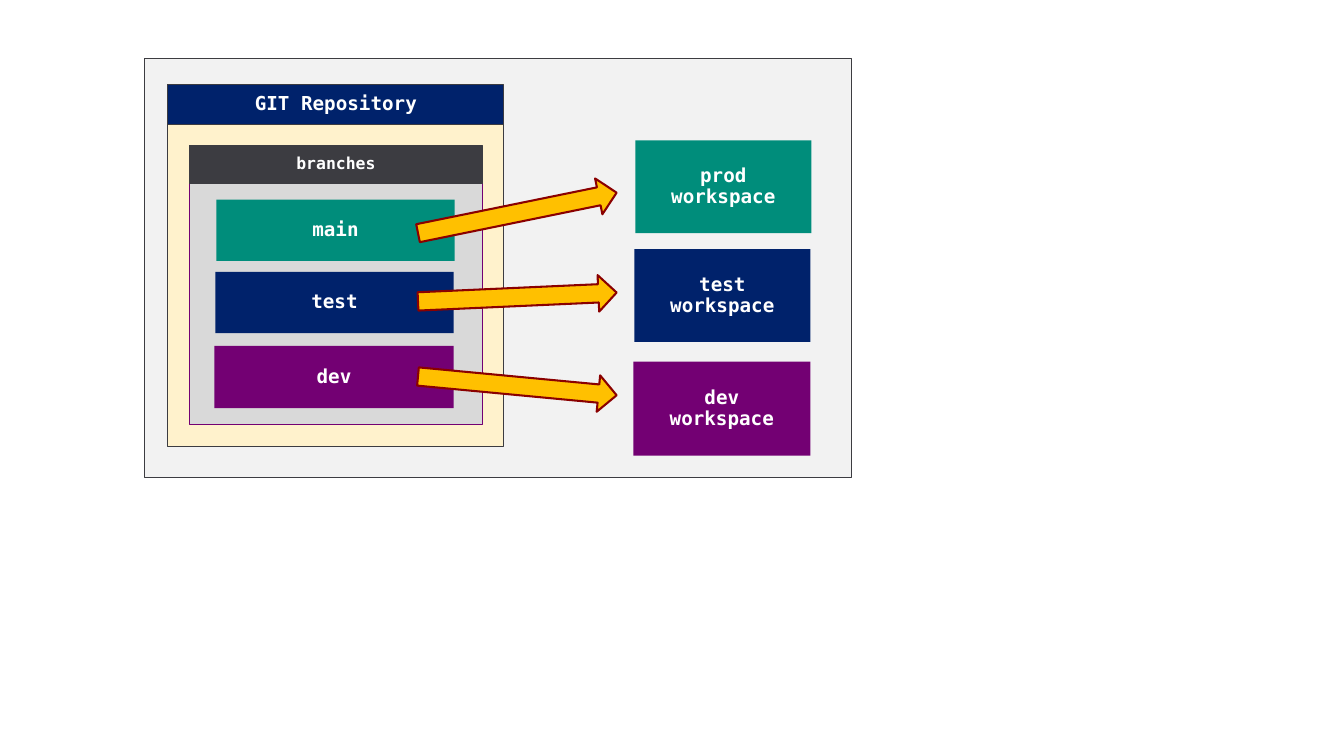
from math import atan2, degrees, hypot

from pptx import Presentation
from pptx.dml.color import RGBColor
from pptx.enum.shapes import MSO_SHAPE
from pptx.enum.text import MSO_ANCHOR, PP_ALIGN
from pptx.util import Inches, Pt

# Grid of 136 columns by 76.5 rows, each cell a tenth of an inch
COLS, ROWS = 136, 76.5
FONT = "DejaVu Sans Mono"
NAVY, TEAL, PLUM, DARK = "00226B", "008D7B", "730073", "3C3C41"

# Branch, its workspace, colour
# branch box, workspace box, arrow rows at tail and tip
FLOWS = [
    ("main", "prod", TEAL, (21.9, 20.2, 24.1, 6.2), (64.3, 14.2, 17.8, 9.4), (23.6, 19.5)),
    ("test", "test", NAVY, (21.8, 27.5, 24.1, 6.2), (64.2, 25.2, 17.8, 9.4), (30.5, 29.6)),
    ("dev", "dev", PLUM, (21.7, 35, 24.2, 6.3), (64.1, 36.6, 17.9, 9.5), (38.1, 40)),
]
TAIL, TIP, THICK = 42.3, 62.4, 3.7


def cell(n):
    return Inches(n / 10)


def tint(target, color):
    target.rgb = RGBColor.from_string(color)


def write(shape, text, size=14, color="FFFFFF", bold=True):
    frame = shape.text_frame
    frame.word_wrap = True
    frame.vertical_anchor = MSO_ANCHOR.MIDDLE
    frame.margin_left = frame.margin_right = 0
    frame.margin_top = frame.margin_bottom = 0
    for i, line in enumerate(text.split("\n")):
        para = frame.add_paragraph() if i else frame.paragraphs[0]
        para.alignment = PP_ALIGN.CENTER
        para.line_spacing = 0.9
        run = para.add_run()
        run.text = line
        run.font.name = FONT
        run.font.size = Pt(size)
        run.font.bold = bold
        tint(run.font.color, color)


def block(shapes, area, fill, line=None, width=0.75, kind=MSO_SHAPE.RECTANGLE):
    shape = shapes.add_shape(kind, *map(cell, area))
    shape.shadow.inherit = False
    shape.fill.solid()
    tint(shape.fill.fore_color, fill)
    if line:
        tint(shape.line.color, line)
        shape.line.width = Pt(width)
    else:
        shape.line.fill.background()
    return shape


def panel(shapes, area, head, text, size, fill, line, bar):
    """Draw a body with a title bar of the given height on top."""
    left, top, wide, high = area
    block(shapes, (left, top + head, wide, high - head), fill, line)
    title = block(shapes, (left, top, wide, head), bar, DARK)
    write(title, text, size=size)


def arrow(shapes, start, end):
    """Draw a block arrow turned to run from start to end."""
    (x1, y1), (x2, y2) = start, end
    span = hypot(x2 - x1, y2 - y1)
    area = ((x1 + x2 - span) / 2, (y1 + y2 - THICK) / 2, span, THICK)
    shape = block(shapes, area, "FFC000", "8A0000", 1.5, MSO_SHAPE.RIGHT_ARROW)
    shape.rotation = degrees(atan2(y2 - y1, x2 - x1))


def main():
    deck = Presentation()
    deck.slide_width, deck.slide_height = cell(COLS), cell(ROWS)
    shapes = deck.slides.add_slide(deck.slide_layouts[6]).shapes

    # Backdrop
    block(shapes, (14.6, 5.9, 71.6, 42.4), "F2F2F2", DARK)

    # Workspaces
    spaces = shapes.add_group_shape().shapes
    for _, name, color, _, area, _ in FLOWS:
        write(block(spaces, area, color), name + "\nworkspace")

    # Repository
    repo = shapes.add_group_shape().shapes
    panel(repo, (17, 8.6, 34, 36.6), 4, "GIT Repository", 14, "FFF2CC", DARK, NAVY)

    # Branches
    tree = shapes.add_group_shape().shapes
    panel(tree, (19.2, 14.7, 29.6, 28.3), 3.9, "branches", 12, "D9D9D9", PLUM, DARK)
    for name, _, color, area, _, _ in FLOWS:
        write(block(tree, area, color), name)

    # Arrows from branch to workspace
    for *_, (start, end) in FLOWS:
        arrow(shapes, (TAIL, start), (TIP, end))

    deck.save("out.pptx")


if __name__ == "__main__":
    main()
